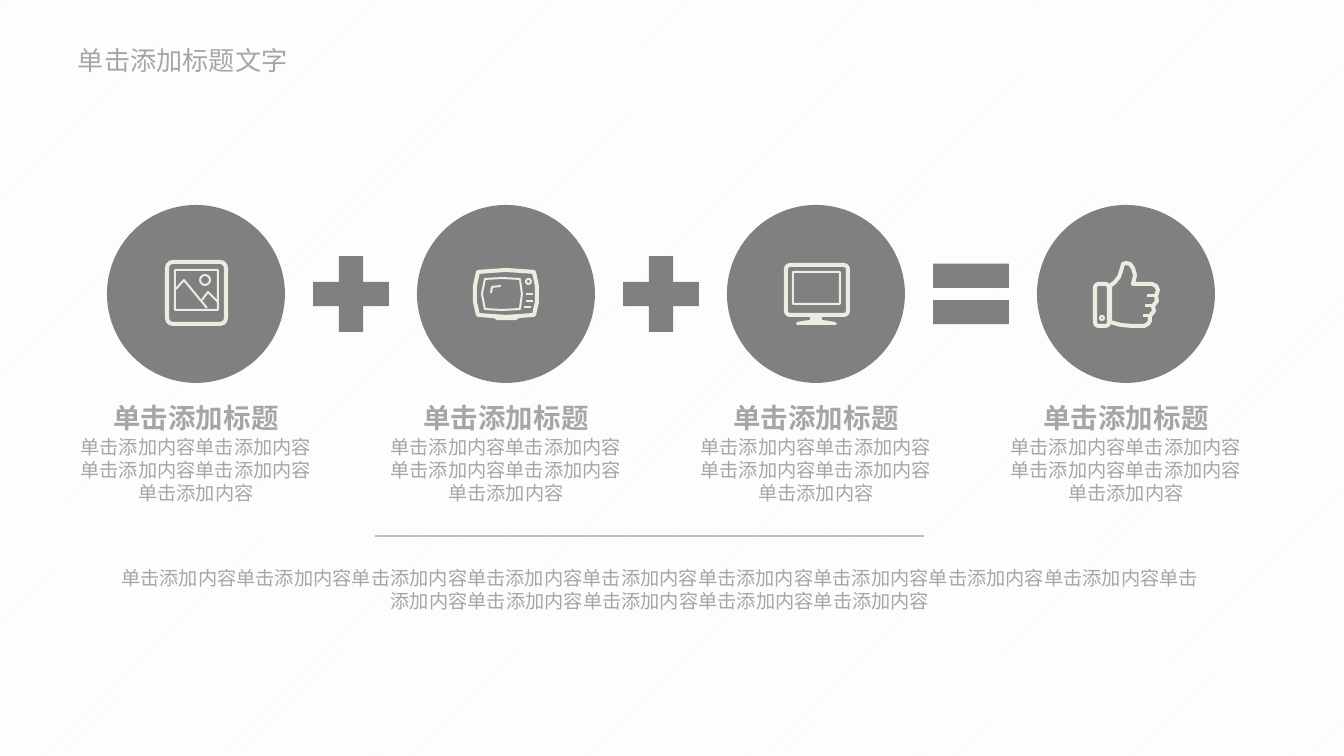
from lxml import etree
from pptx import Presentation
from pptx.dml.color import RGBColor
from pptx.enum.dml import MSO_PATTERN
from pptx.enum.shapes import MSO_CONNECTOR, MSO_SHAPE
from pptx.enum.text import MSO_ANCHOR, MSO_AUTO_SIZE, PP_ALIGN
from pptx.oxml.ns import qn
from pptx.util import Pt

SCALE = 914400 / 134.4
OVAL, ROUNDED = MSO_SHAPE.OVAL, MSO_SHAPE.ROUNDED_RECTANGLE
PLUS, EQUAL = MSO_SHAPE.MATH_PLUS, MSO_SHAPE.MATH_EQUAL
STRAIGHT = MSO_CONNECTOR.STRAIGHT
HATCH = MSO_PATTERN.LIGHT_UPWARD_DIAGONAL
LEFT, CENTER = PP_ALIGN.LEFT, PP_ALIGN.CENTER
TOP, NO_FIT = MSO_ANCHOR.TOP, MSO_AUTO_SIZE.NONE

WHITE = RGBColor(0xFF, 0xFF, 0xFF)
PALE = RGBColor(0xF2, 0xF2, 0xF2)
GRAY = RGBColor(0x80, 0x80, 0x80)
TEXT_GRAY = RGBColor(0xA6, 0xA6, 0xA6)
RULE_GRAY = RGBColor(0xBF, 0xBF, 0xBF)
CREAM = RGBColor(0xEE, 0xEC, 0xE1)

LATIN, CHINESE = "Calibri", "Noto Sans CJK SC"
HEADING = "单击添加标题"
PHRASE = "单击添加内容"
COLUMN_WIDTH, COLUMN_PITCH = 272, 310
DISC, ICON, OPERATOR = 178, 68, 103


def px(length):
    """Turn px into EMU."""
    return round(length * SCALE)


def style(shape, fill=None, stroke=0):
    """Give a shape a flat fill or a cream stroke."""
    shape.shadow.inherit = False
    if fill is None:
        shape.fill.background()
    else:
        shape.fill.solid()
        shape.fill.fore_color.rgb = fill
    if stroke:
        shape.line.color.rgb = CREAM
        shape.line.width = px(stroke)
    else:
        shape.line.fill.background()


def add_preset(page, kind, box, fill=None, stroke=0, corner=None):
    """Add a preset shape in a px box."""
    shape = page.shapes.add_shape(kind, *map(px, box))
    if corner is not None:
        shape.adjustments[0] = corner
    style(shape, fill, stroke)


def add_outline(page, origin, points, fill=None, stroke=0, close=False):
    """Add a freeform through points relative to the origin."""
    left, top = origin
    vertices = [(left + x, top + y) for x, y in points]
    builder = page.shapes.build_freeform(*vertices[0], scale=SCALE)
    builder.add_line_segments(vertices[1:], close=close)
    style(builder.convert_to_shape(), fill, stroke)


def write(shape, text, size, font=LATIN, bold=False, align=CENTER, wrap=True):
    """Write one formatted paragraph into a shape."""
    frame = shape.text_frame
    frame.word_wrap, frame.auto_size = wrap, NO_FIT
    frame.vertical_anchor = TOP
    para = frame.paragraphs[0]
    para.text, para.alignment = text, align
    para.font.name, para.font.size = font, Pt(size)
    para.font.bold = bold
    para.font.color.rgb = TEXT_GRAY
    defaults = para._p.pPr.find(qn("a:defRPr"))
    etree.SubElement(defaults, qn("a:ea"), typeface=CHINESE)


def add_text(page, box, text, size, **options):
    """Add a text box in a px box."""
    write(page.shapes.add_textbox(*map(px, box)), text, size, **options)


def draw_photo(page, left, top):
    """Draw a framed landscape."""
    add_preset(page, ROUNDED, (left + 5, top + 2, 59, 62), stroke=4, corner=0.1)
    add_preset(page, ROUNDED, (left + 13, top + 10, 43, 40), stroke=2, corner=0.02)
    add_preset(page, OVAL, (left + 38, top + 15, 10, 10), stroke=2)
    for ridge in ([(14, 29), (22, 20), (45, 48)], [(40, 40), (46, 32), (56, 42)]):
        add_outline(page, (left, top), ridge, stroke=2)


def draw_television(page, left, top):
    """Draw an old television with a bulging case."""
    origin = left, top
    case = [(6, 12), (20, 11), (34, 10), (48, 11), (62, 12), (65, 26), (65, 42),
            (62, 55), (48, 56), (34, 57), (20, 56), (6, 55), (3, 42), (3, 26)]
    screen = [(13, 19), (30, 18), (48, 19), (50, 34), (48, 49), (30, 50),
              (13, 49), (10, 34)]
    add_outline(page, origin, case, stroke=4, close=True)
    add_outline(page, origin, screen, stroke=2, close=True)
    add_outline(page, origin, [(19, 33), (20, 27), (29, 26)], stroke=2)
    add_outline(page, origin, [(20, 57), (49, 57), (44, 60), (25, 60)], CREAM, close=True)
    add_preset(page, OVAL, (left + 54, top + 19, 5, 5), stroke=2)
    for x, y in ((54, 34), (54, 41), (52, 47)):
        add_outline(page, origin, [(x, y), (x + 7, y)], stroke=2)


def draw_monitor(page, left, top):
    """Draw a flat monitor on a stand."""
    stand = [(28, 56), (40, 56), (40, 60), (53, 62), (55, 64), (53, 65),
             (15, 65), (14, 64), (15, 62), (28, 60)]
    add_preset(page, ROUNDED, (left + 4, top + 5, 62, 50), stroke=4, corner=0.08)
    add_preset(page, ROUNDED, (left + 11, top + 12, 47, 32), stroke=2, corner=0.02)
    add_outline(page, (left, top), stand, CREAM, close=True)


def draw_thumb(page, left, top):
    """Draw a raised thumb with a buttoned cuff."""
    origin = left, top
    hand = [(18, 26), (23, 22), (27, 17), (30, 8), (31, 4), (34, 3), (38, 4),
            (41, 8), (43, 15), (42, 20), (41, 24), (60, 24), (64, 26), (66, 30),
            (64, 36), (65, 41), (61, 46), (62, 51), (58, 56), (58, 61),
            (56, 64), (52, 66), (41, 66), (29, 65), (18, 62)]
    add_preset(page, ROUNDED, (left + 3, top + 24, 14, 42), stroke=4, corner=0.25)
    add_preset(page, OVAL, (left + 8, top + 56, 4, 4), stroke=2)
    add_outline(page, origin, hand, stroke=4, close=True)
    for start, end, y in ((55, 64, 36), (53, 61, 46), (51, 58, 56)):
        add_outline(page, origin, [(start, y), (end, y)], stroke=3)


def add_column(page, left, top, draw_icon, operator):
    """Place a disc with its icon, texts and following operator."""
    middle, center = left + COLUMN_WIDTH // 2, top + DISC // 2
    add_preset(page, OVAL, (middle - DISC // 2, top, DISC, DISC), GRAY)
    draw_icon(page, middle - ICON // 2, center - ICON // 2)
    if operator:
        corner = middle + (COLUMN_PITCH - OPERATOR) / 2, center - OPERATOR / 2
        add_preset(page, operator, (*corner, OPERATOR, OPERATOR), GRAY)
    add_text(page, (middle - 97, top + 189, 194, 47), HEADING, 14.7, bold=True, wrap=False)
    add_text(page, (left, top + 224, COLUMN_WIDTH, 83), PHRASE * 5, 10.3)


def add_summary(page, left, top, width):
    """Place a rule above a centred closing text."""
    rule = page.shapes.add_connector(
        STRAIGHT, *map(px, (left + 273, top, left + 822, top)))
    rule.line.color.rgb, rule.line.width = RULE_GRAY, Pt(0.75)
    etree.SubElement(rule._element.spPr, qn("a:effectLst"))
    add_text(page, (left, top + 24, width, 60), PHRASE * 14, 10.3)


def add_title(page, left, top, width, height):
    """Place and format the slide title."""
    title = page.shapes.title
    title.left, title.top, title.width, title.height = map(px, (left, top, width, height))
    frame = title.text_frame
    frame.margin_left = frame.margin_right = px(9)
    frame.margin_top = frame.margin_bottom = px(5)
    write(title, "单击添加标题文字", 14, font=CHINESE, align=LEFT, wrap=False)


def main():
    """Build and save the deck."""
    deck = Presentation()
    deck.slide_width, deck.slide_height = px(1344), px(756)
    page = deck.slides.add_slide(deck.slide_layouts[5])
    backdrop = page.background.fill
    backdrop.patterned()
    backdrop.pattern = HATCH
    backdrop.fore_color.rgb, backdrop.back_color.rgb = PALE, WHITE
    add_title(page, 69, 39, 231, 42)
    columns = ((draw_photo, PLUS), (draw_television, PLUS),
               (draw_monitor, EQUAL), (draw_thumb, None))
    for index, (draw_icon, operator) in enumerate(columns):
        add_column(page, 60 + index * COLUMN_PITCH, 205, draw_icon, operator)
    add_summary(page, 102, 536, 1117)
    deck.save("out.pptx")


if __name__ == "__main__":
    main()
